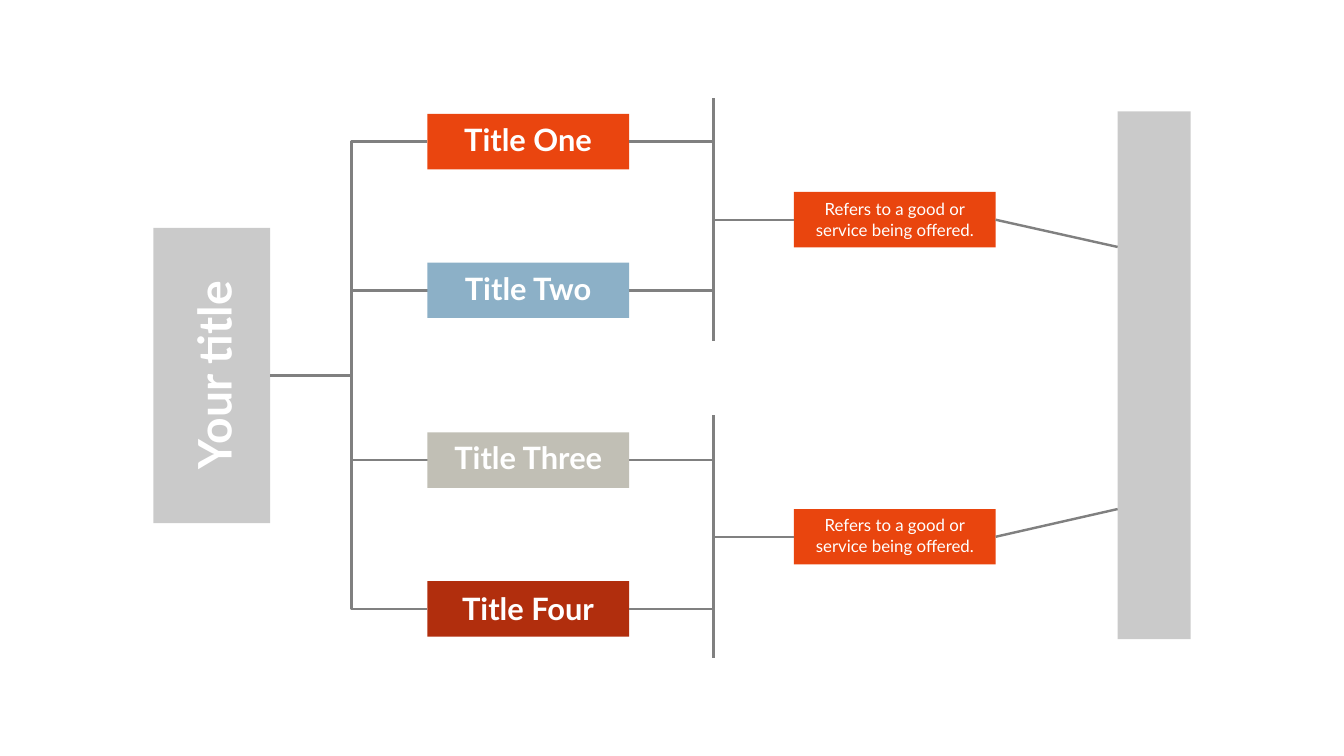
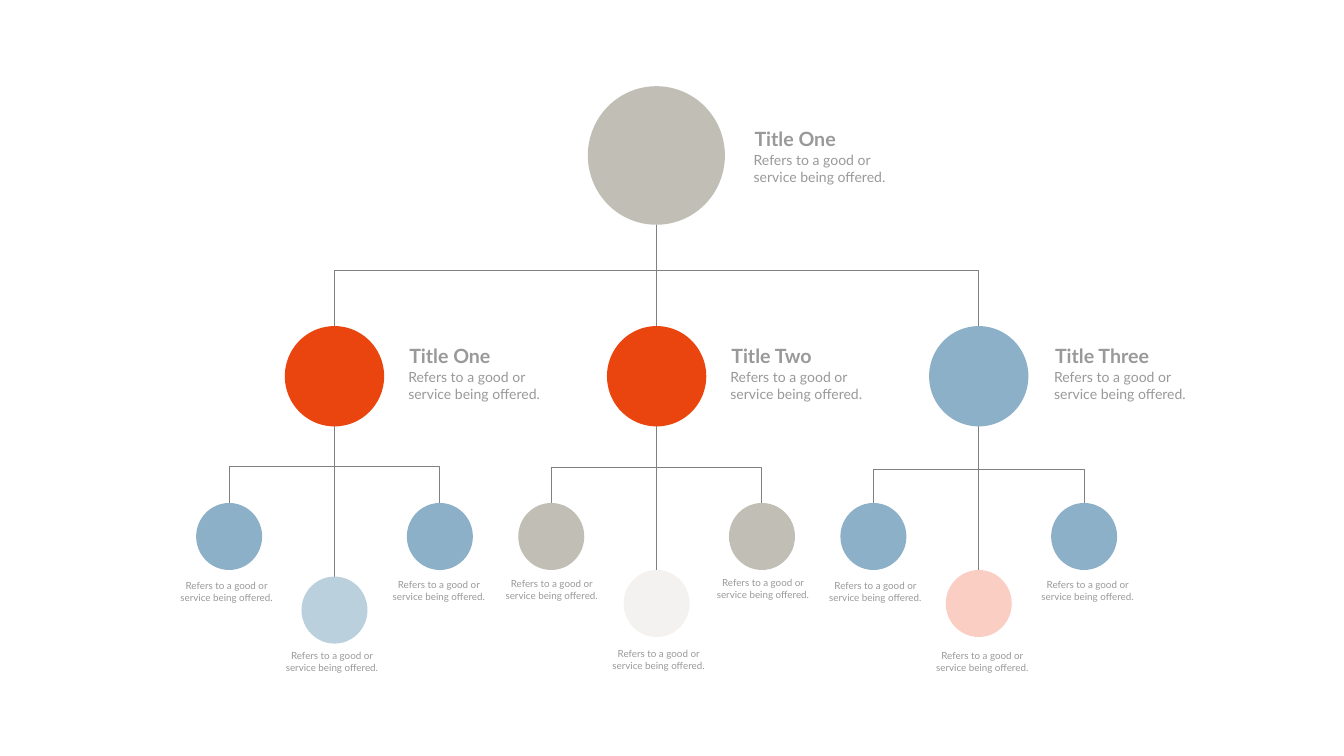
from dataclasses import dataclass

from lxml import etree
from pptx import Presentation
from pptx import util as u
from pptx.dml.color import RGBColor
from pptx.enum import shapes, text
from pptx.oxml.ns import qn

PX = 9144  # EMU per px, 100 px to the inch


@dataclass(frozen=True)
class Theme:
    font: str = "Lato"
    white: str = "FFFFFF"
    grey: str = "808080"
    caption: str = "999999"
    orange: str = "EA450F"
    callout: str = "E9450E"
    blue: str = "8CB0C7"
    pale_blue: str = "BAD0DD"
    stone: str = "C1BFB5"
    pale_stone: str = "F3F2F0"
    brick: str = "B12E0D"
    pink: str = "FBCEC3"
    banner_size: int = 66
    box_size: int = 44
    head_size: int = 28
    callout_size: int = 24
    body_size: int = 20
    leaf_size: int = 14
    thick: float = 3.46
    thin: float = 0.88


THEME = Theme()

# ---- Content: bracket slide ----
BANNER = "Your title"
REFERS = ("Refers to a good or", "service being offered.")
SENTENCE = (" ".join(REFERS),)
# title, fill, box top, text top, text width
TITLES = [
    ("Title One", THEME.orange, 226, 235, 277),
    ("Title Two", THEME.blue, 521, 530, 281),
    ("Title Three", THEME.stone, 858, 865, 320),
    ("Title Four", THEME.brick, 1153, 1166, 287),
]
# box top, text top, height where the link meets the right bar
CALLOUTS = [(381, 390, 490), (1010, 1017, 1010)]

# ---- Content: tree slide ----
# title, left, top, width
ROOT_HEAD = ("Title One", 1487, 246, 183)
# centre, fill, heading, trunk top, bracket top, middle leaf top,
# leaf fills, leaf caption positions
BRANCHES = [
    (663, THEME.orange, ("Title One", 802, 677, 183), 833, 925, 1144,
     (THEME.blue, THEME.pale_blue, THEME.blue),
     ((331, 1146), (540, 1285), (752, 1144))),
    (1302, THEME.orange, ("Title Two", 1441, 677, 186), 837, 928, 1131,
     (THEME.stone, THEME.pale_stone, THEME.stone),
     ((976, 1142), (1188, 1281), (1395, 1140))),
    (1941, THEME.blue, ("Title Three", 2083, 677, 211), 841, 932, 1131,
     (THEME.blue, THEME.pink, THEME.blue),
     ((1618, 1146), (1830, 1285), (2039, 1143))),
]


# ---- Drawing helpers ----
def emu(*lengths):
    return [u.Emu(round(length * PX)) for length in lengths]


def rgb(colour):
    return RGBColor.from_string(colour)


def add_block(page, kind, area, colour, alpha=None):
    block = page.shapes.add_shape(kind, *emu(*area))
    block.shadow.inherit = False
    block.fill.solid()
    block.fill.fore_color.rgb = rgb(colour)
    block.line.fill.background()
    if alpha:
        tint = block.fill._xPr.find(".//" + qn("a:srgbClr"))
        etree.SubElement(tint, qn("a:alpha")).set("val", str(alpha * 1000))
    return block


def add_box(page, area, colour, alpha=None):
    return add_block(page, shapes.MSO_SHAPE.RECTANGLE, area, colour, alpha)


def add_circle(page, centre, top, size, colour):
    width, height = size
    area = (centre - width // 2, top, width, height)
    return add_block(page, shapes.MSO_SHAPE.OVAL, area, colour)


def set_line(shape, weight):
    shape.line.color.rgb = rgb(THEME.grey)
    shape.line.width = u.Pt(weight)


def add_line(page, start, end, weight, source=None, target=None):
    """Source and target are (shape, side) pairs to join."""
    line = page.shapes.add_connector(
        shapes.MSO_CONNECTOR.STRAIGHT, *emu(*start, *end))
    set_line(line, weight)
    etree.SubElement(line._element.spPr, qn("a:effectLst"))
    if source:
        line.begin_connect(*source)
    if target:
        line.end_connect(*target)


def add_bracket(page, points, weight):
    builder = page.shapes.build_freeform(*points[0], scale=PX)
    builder.add_line_segments(points[1:], close=False)
    bracket = builder.convert_to_shape()
    bracket.shadow.inherit = False
    bracket.fill.background()
    set_line(bracket, weight)


def add_text(page, lines, area, size, colour, bold=False, centred=True,
             wrap=True):
    box = page.shapes.add_textbox(*emu(*area))
    frame = box.text_frame
    frame.word_wrap = wrap
    frame.auto_size = text.MSO_AUTO_SIZE.SHAPE_TO_FIT_TEXT
    frame.text = "\n".join(lines)
    for para in frame.paragraphs:
        para.alignment = (text.PP_ALIGN.CENTER if centred
                          else text.PP_ALIGN.LEFT)
        for span in para.runs:
            span.font.name = THEME.font
            span.font.size = u.Pt(size)
            span.font.bold = bold
            span.font.color.rgb = rgb(colour)
    return box


def add_heading(page, title, left, top, width):
    add_text(page, (title,), (left, top, width, 57), THEME.head_size,
             THEME.caption, bold=True, centred=False, wrap=False)
    add_text(page, SENTENCE, (left - 2, top + 50, 292, 77), THEME.body_size,
             THEME.caption, centred=False)


# ---- Slides ----
def build_brackets(page):
    box_left, box_width, box_height = 848, 400, 110
    spine, collector, callout_left, bar_left = 697, 1415, 1575, 2217
    middles = [top + box_height // 2 for _, _, top, _, _ in TITLES]

    # Spine around all titles, and lines running behind the inner two
    add_bracket(page, [(box_left, middles[-1]), (spine, middles[-1]),
                       (spine, middles[0]), (box_left, middles[0])],
                THEME.thick)
    for middle in middles[1:3]:
        add_line(page, (spine, middle), (collector, middle), THEME.thick)

    # Banner and right bar
    banner = add_box(page, (304, 452, 232, 586), THEME.grey, alpha=41)
    add_box(page, (bar_left, 221, 145, 1047), THEME.grey, alpha=41)
    add_line(page, (536, 745), (spine, 745), THEME.thick, source=(banner, 3))
    add_text(page, (BANNER,), (218, 684, 411, 121), THEME.banner_size,
             THEME.white, bold=True, wrap=False).rotation = 270

    # Title boxes; the outer two link to the collectors
    for (title, colour, top, text_top, width), middle in zip(TITLES, middles):
        box = add_box(page, (box_left, top, box_width, box_height), colour)
        if middle in (middles[0], middles[-1]):
            add_line(page, (box_left + box_width, middle),
                     (collector, middle), THEME.thick, source=(box, 3))
        text_left = box_left + (box_width - width) // 2
        add_text(page, (title,), (text_left, text_top, width, 84),
                 THEME.box_size, THEME.white, bold=True, wrap=False)

    # Collectors and callouts
    for top, text_top, meeting in CALLOUTS:
        middle = top + box_height // 2
        add_line(page, (collector, middle - 241), (collector, middle + 241),
                 THEME.thick)
        box = add_box(page, (callout_left, top, box_width, box_height),
                      THEME.callout)
        add_line(page, (collector, middle), (callout_left, middle),
                 THEME.thick, target=(box, 1))
        add_line(page, (callout_left + box_width, middle),
                 (bar_left, meeting), THEME.thick, source=(box, 3))
        add_text(page, REFERS, (callout_left + 24, text_top, 352, 91),
                 THEME.callout_size, THEME.white)


def build_tree(page):
    centres = [branch[0] for branch in BRANCHES]
    root, branch_top, root_rail = centres[1], 647, 537
    leaf_step, leaf_top, leaf_size = 209, 998, (131, 133)

    # Root with its rail
    add_line(page, (root, 416), (root, branch_top), THEME.thin)
    add_bracket(page, [(centres[0], branch_top), (centres[0], root_rail),
                       (centres[-1], root_rail), (centres[-1], branch_top)],
                THEME.thin)
    add_circle(page, root, 171, (272, 275), THEME.stone)
    add_heading(page, *ROOT_HEAD)

    # Branches, each with three leaves
    for centre, colour, head, trunk, rail, low_top, fills, notes in BRANCHES:
        left, right = centre - leaf_step, centre + leaf_step
        add_line(page, (centre, trunk), (centre, 1144), THEME.thin)
        add_bracket(page, [(left, rail + 83), (left, rail),
                           (right, rail), (right, rail + 83)], THEME.thin)
        add_circle(page, centre, branch_top, (197, 199), colour)
        add_heading(page, *head)
        leaves = zip((left, centre, right), (leaf_top, low_top, leaf_top),
                     fills, notes)
        for leaf_centre, top, fill, note in leaves:
            add_circle(page, leaf_centre, top, leaf_size, fill)
            add_text(page, SENTENCE, (*note, 237, 57), THEME.leaf_size,
                     THEME.caption)


def main():
    deck = Presentation()
    deck.slide_width, deck.slide_height = emu(2666, 1500)
    for build in (build_brackets, build_tree):
        build(deck.slides.add_slide(deck.slide_layouts[6]))
    deck.save("out.pptx")


if __name__ == "__main__":
    main()
